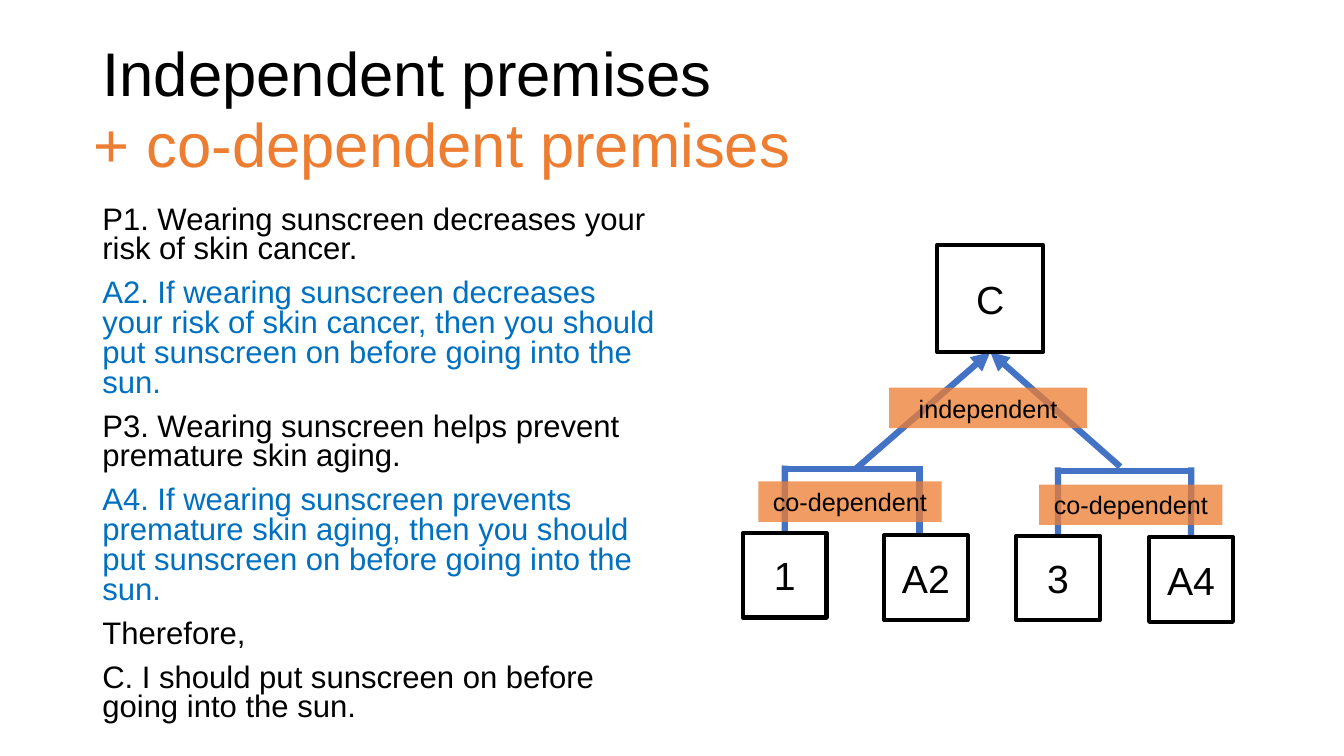
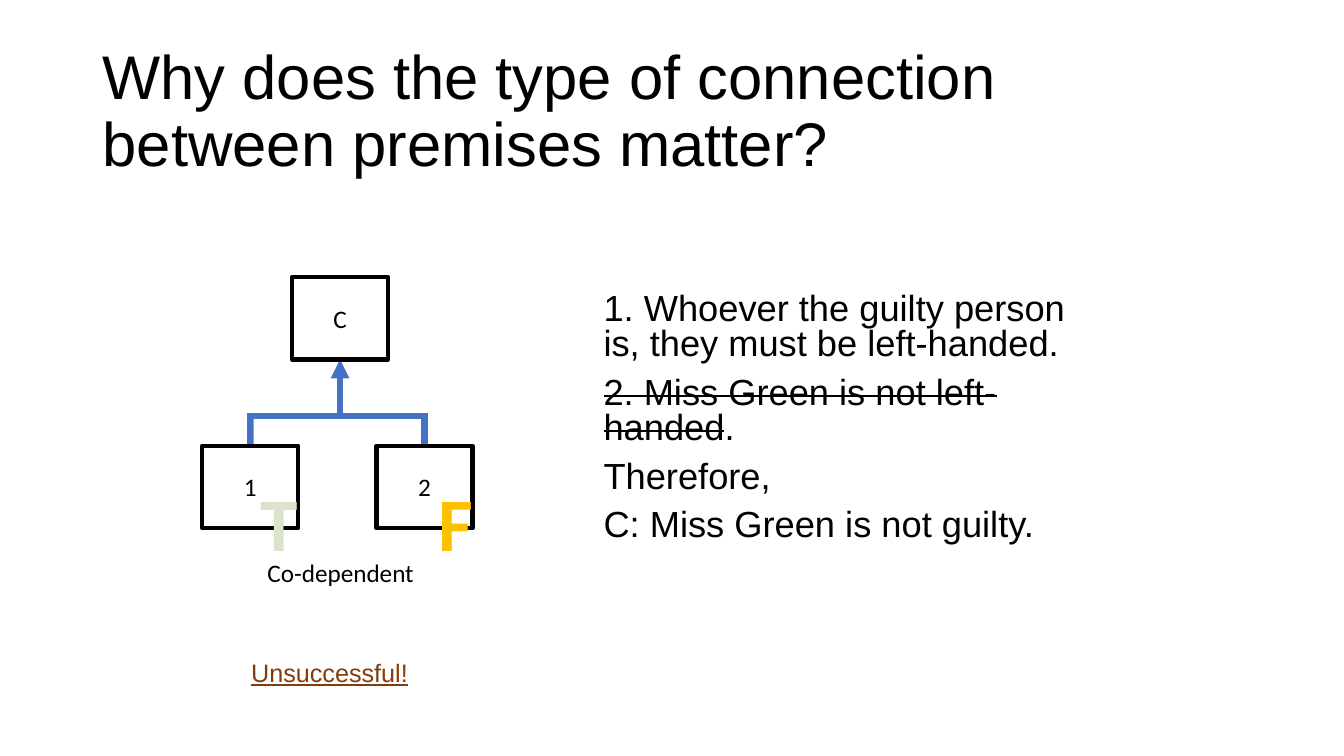
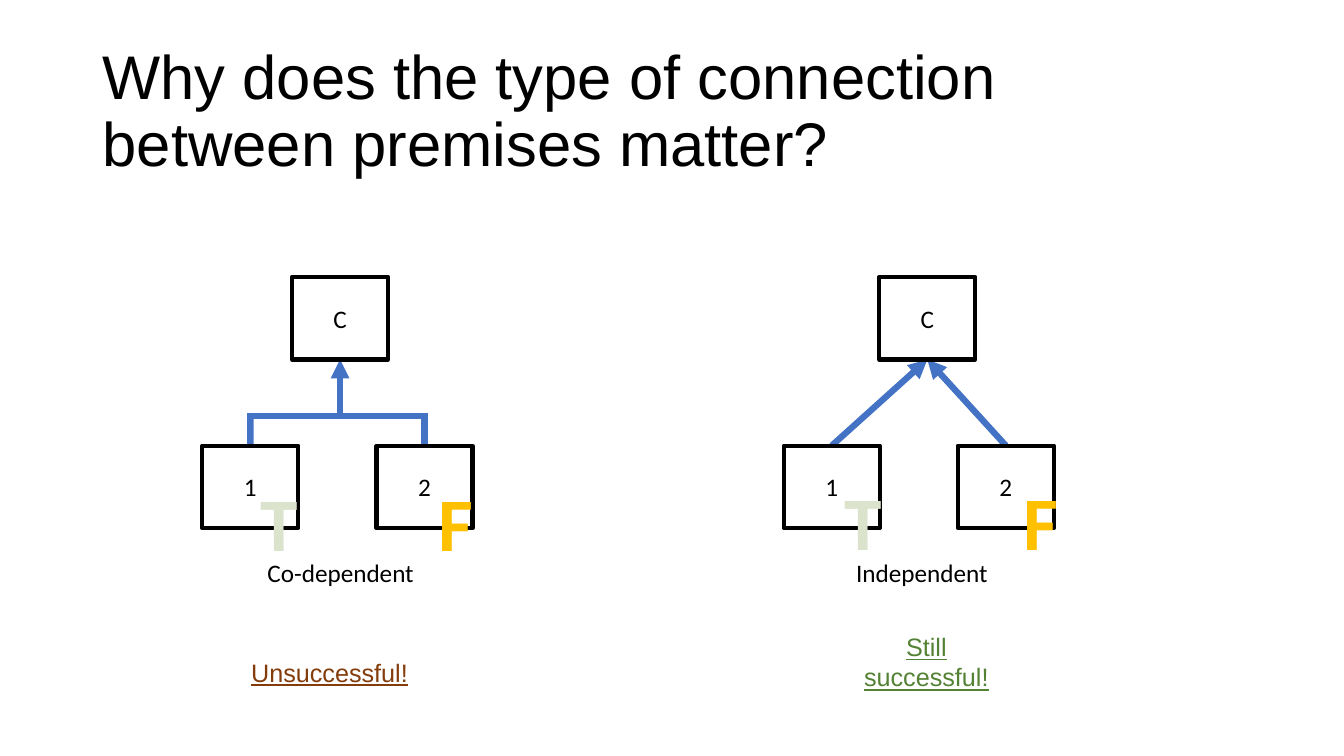
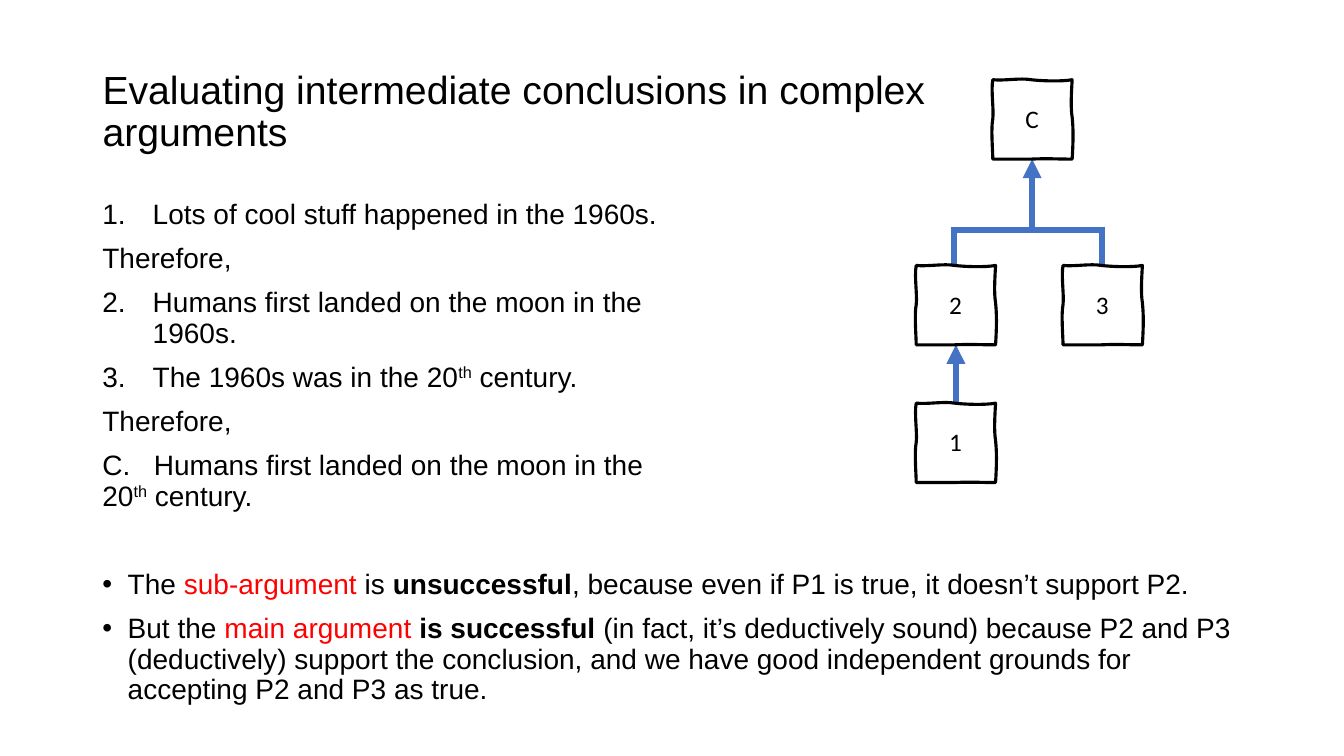
from lxml import etree
from pptx import Presentation
from pptx.dml.color import RGBColor
from pptx.enum.shapes import MSO_CONNECTOR, MSO_SHAPE
from pptx.enum.text import MSO_ANCHOR, MSO_AUTO_SIZE, PP_ALIGN
from pptx.oxml.ns import qn
from pptx.util import Cm, Pt

LEFT, CENTER = PP_ALIGN.LEFT, PP_ALIGN.CENTER
MIDDLE, TOP = MSO_ANCHOR.MIDDLE, MSO_ANCHOR.TOP
FIXED = MSO_AUTO_SIZE.NONE
STRAIGHT, ELBOW = MSO_CONNECTOR.STRAIGHT, MSO_CONNECTOR.ELBOW
RECT = MSO_SHAPE.RECTANGLE

BLACK, BLUE, SKY, ORANGE = "000000", "4472C4", "0070C0", "ED7D31"
RED, BROWN, GREEN = "FF0000", "843C0B", "548235"
SANS, PLAIN = "Arial", "Calibri"
MARGIN = 2.33
HALF = 0.08  # half the width of a diagram line
QUESTION = "Why does the type of connection between premises matter?"

# Hand-drawn square, 200 units wide: control, control, end of each curve
WAVES = [
    (30, 3), (69, -5), (97, 0), (122, 3), (173, 5), (200, 0),
    (198, 36), (196, 69), (200, 94), (203, 122), (203, 152), (200, 200),
    (155, 200), (142, 198), (97, 200), (53, 200), (28, 200), (0, 200),
    (0, 178), (-5, 124), (0, 99), (3, 74), (-5, 28), (0, 0),
]


def rgb(code):
    return RGBColor.from_string(code)


def cms(values):
    return [Cm(v) for v in values]


def child(parent, tag, **attrs):
    return etree.SubElement(parent, qn(tag), {k: str(v) for k, v in attrs.items()})


def style(font, size, color, name=SANS, bold=None, line=None):
    font.size, font.name, font.bold, font.underline = Pt(size), name, bold, line
    font.color.rgb = rgb(color)


def span(para, text, color=None, bold=None, **attrs):
    """Add a run; attrs are raw run attributes such as strike or baseline."""
    run = para.add_run()
    run.text = text
    if color:
        run.font.color.rgb = rgb(color)
    if bold:
        run.font.bold = True
    props = run._r.get_or_add_rPr()
    for key, value in attrs.items():
        props.set(key, value)


def mark(para, kind, indent, **attrs):
    """Give a paragraph a bullet or number with a hanging indent."""
    props = para._p.get_or_add_pPr()
    props.set("marL", str(Cm(indent)))
    props.set("indent", str(-Cm(indent)))
    if kind == "a:buChar":
        child(props, "a:buFont", typeface=SANS)
    child(props, kind, **attrs)


def tab(para, stop):
    tabs = child(para._p.get_or_add_pPr(), "a:tabLst")
    child(tabs, "a:tab", pos=Cm(stop), algn="l")


def text(slide, place, words, size, color=BLACK, align=LEFT, anchor=TOP,
         space=None, **look):
    frame = slide.shapes.add_textbox(*cms(place)).text_frame
    frame.word_wrap, frame.vertical_anchor = True, anchor
    para = frame.paragraphs[0]
    para.text, para.alignment, para.line_spacing = words, align, space
    style(para.font, size, color, **look)
    return para


def title(slide, words, size=44, width=29.21, under=0.13):
    """Fill the title; under is the inset at its foot."""
    shape = slide.shapes.title
    shape.left, shape.top, shape.width, shape.height = cms(
        (MARGIN, 1.01, width, 3.68))
    frame = shape.text_frame
    frame.auto_size, frame.vertical_anchor = FIXED, MIDDLE
    frame.margin_bottom = Cm(under)
    para = frame.paragraphs[0]
    para.text, para.alignment, para.line_spacing = words, LEFT, 0.9
    style(para.font, size, BLACK)


def body(slide, place, items, size, space):
    """Items are (spans, colour, marker); a span is (words, looks)."""
    frame = slide.shapes.add_textbox(*cms(place)).text_frame
    frame.word_wrap = True
    for i, (spans, color, marker) in enumerate(items):
        para = frame.add_paragraph() if i else frame.paragraphs[0]
        if marker:
            mark(para, **marker)
        elif "\t" in spans[0][0]:
            tab(para, 1.3)
        para.line_spacing, para.space_before = space, Pt(10)
        style(para.font, size, color)
        for words, looks in spans:
            span(para, words, **looks)


def item(*spans, color=BLACK, marker=None):
    pairs = [(s, {}) if isinstance(s, str) else s for s in spans]
    return pairs, color, marker


def label(shape, words, size, name):
    para = shape.text_frame.paragraphs[0]
    para.text, para.alignment = words, CENTER
    shape.text_frame.vertical_anchor = MIDDLE
    style(para.font, size, BLACK, name)


def edge(shape, width):
    shape.shadow.inherit = False
    shape.fill.background()
    shape.line.color.rgb = rgb(BLACK)
    shape.line.width = Pt(width)


def box(slide, place, words, size=18, name=PLAIN):
    shape = slide.shapes.add_shape(RECT, *cms(place))
    edge(shape, 3)
    label(shape, words, size, name)
    return shape


def tag(slide, place, words):
    """Add a see-through orange label."""
    shape = slide.shapes.add_shape(RECT, *cms(place))
    shape.shadow.inherit = False
    shape.fill.solid()
    shape.fill.fore_color.rgb = rgb(ORANGE)
    code = shape._element.spPr.find(qn("a:solidFill")).find(qn("a:srgbClr"))
    child(code, "a:alpha", val=76000)
    shape.line.fill.background()
    label(shape, words, 18, SANS)


def wavy(slide, x, y, words):
    pen = slide.shapes.build_freeform(0, 0, scale=Cm(0.01))
    pen.add_line_segments(WAVES, close=True)
    shape = pen.convert_to_shape(Cm(x), Cm(y))
    sides = list(shape._element.iter(qn("a:lnTo")))
    for i in range(0, len(sides), 3):
        curve = etree.Element(qn("a:cubicBezTo"))
        sides[i].addprevious(curve)
        for side in sides[i:i + 3]:
            curve.append(side[0])
            side.getparent().remove(side)
    edge(shape, 2.25)
    label(shape, words, 18, PLAIN)


def line(slide, start, end, arrow=False, source=None, target=None,
         kind=STRAIGHT):
    """Draw behind the boxes, from the top of source to target."""
    link = slide.shapes.add_connector(kind, *cms(start + end))
    link.line.color.rgb, link.line.width = rgb(BLUE), Pt(4.5)
    if arrow:
        child(link.line._get_or_add_ln(), "a:tailEnd", type="triangle")
    child(link._element.spPr, "a:effectLst")
    if kind == ELBOW:
        guides = next(link._element.iter(qn("a:avLst")))
        child(guides, "a:gd", name="adj1", fmla="val 100000")
    if source:
        link.begin_connect(source, 0)
    if target:
        link.end_connect(target, 2 if arrow else 0)
    link._element.getparent().insert(2, link._element)


def prongs(slide, y, feet):
    """Drop lines from height y to feet, each (x, bottom, box or None)."""
    for x, base, foot in feet:
        line(slide, (x, y - HALF), (x, base), target=foot)


def fork(slide, y, *feet):
    line(slide, (feet[0][0], y), (feet[-1][0], y))
    prongs(slide, y, feet)


def letter(slide, x, y, words, color, rim):
    para = text(slide, (x, y, 1.42, 2.57), words, 54, color, CENTER,
                name=PLAIN, bold=True)
    ln = child(para.runs[0]._r.get_or_add_rPr(), "a:ln", w=Pt(1.75))
    child(child(ln, "a:solidFill"), "a:srgbClr", val=rim)


def tree(slide, top, left, words, spot, forked):
    """Draw two premises, marked true and false from spot, and a conclusion."""
    wide, high, peak, low, step, bar = 2.42, 2.08, 6.98, 11.23, 4.39, 10.49
    goal = box(slide, (top, peak, wide, high), "C")
    pair = [box(slide, (left + i * step, low, wide, high), str(i + 1))
            for i in range(2)]
    mids = [left + wide / 2 + i * step for i in range(2)]
    tip = (top + wide / 2, peak + high)
    if forked:
        prongs(slide, bar, [(x, low, b) for x, b in zip(mids, pair)])
        line(slide, (tip[0], bar), (mids[1], bar))
        line(slide, (mids[0], bar), tip, True, kind=ELBOW)
    else:
        for x, premise in zip(mids, pair):
            line(slide, (x, low), tip, True, premise, goal)
    x, y = spot
    letter(slide, x, y, "T", "DCE3CC", "A8B97F")
    letter(slide, x + 4.47, y, "F", "FFC000", RED)
    text(slide, (left - 0.12, 13.92, 7.21, 1.02), words, 18, align=CENTER,
         name=PLAIN)


def failed(slide):
    tree(slide, 7.36, 5.1, "Co-dependent", (6.32, 11.88), True)
    text(slide, (5.51, 16.43, 5.59, 1.02), "Unsuccessful!", 18, BROWN, CENTER,
         line=True)


def sunscreen(slide):
    title(slide, "Independent premises", under=1.97)
    text(slide, (2.11, 2.41, 29.21, 2.62), "+ co-dependent premises", 44,
         ORANGE, anchor=MIDDLE, space=0.9)
    body(slide, (MARGIN, 5.07, 14.61, 13.28), [
        item("P1. Wearing sunscreen decreases your risk of skin cancer."),
        item("A2. If wearing sunscreen decreases your risk of skin cancer, "
             "then you should put sunscreen on before going into the sun.",
             color=SKY),
        item("P3. Wearing sunscreen helps prevent premature skin aging."),
        item("A4. If wearing sunscreen prevents premature skin aging, then "
             "you should put sunscreen on before going into the sun.",
             color=SKY),
        item("Therefore,"),
        item("C. I should put sunscreen on before going into the sun."),
    ], 22.2, 0.8)
    goal = box(slide, (23.62, 6.17, 2.67, 2.7), "C", 28, SANS)
    one, _, three, four = [
        box(slide, (x, y, 2.11, 2.13), words, 28, SANS)
        for x, y, words in [(18.72, 13.43, "1"), (22.28, 13.49, "A2"),
                            (25.61, 13.5, "3"), (28.96, 13.54, "A4")]]
    fork(slide, 11.81, (19.78, 13.43, one), (23.17, 13.49, None))
    fork(slide, 11.86, (26.66, 13.5, three), (30.02, 13.54, four))
    for start in [(21.57, 11.81), (28.23, 11.76)]:
        line(slide, start, (24.96, 8.87), True, target=goal)
    tag(slide, (19.11, 12.13, 4.62, 1.02), "co-dependent")
    tag(slide, (26.19, 12.21, 4.62, 1.02), "co-dependent")
    tag(slide, (22.41, 9.77, 4.98, 1.02), "independent")


def guilty(slide):
    title(slide, QUESTION)
    failed(slide)
    body(slide, (14.96, 7.28, 12.42, 6.78), [
        item("1. Whoever the guilty person is, they must be left-handed."),
        item(("2. Miss Green is not left-handed", {"strike": "sngStrike"}), "."),
        item("Therefore,"),
        item("C: Miss Green is not guilty."),
    ], 25.9, 0.8)


def compare(slide):
    title(slide, QUESTION)
    failed(slide)
    tree(slide, 22.16, 19.75, "Independent", (21.04, 11.84), False)
    text(slide, (21.34, 15.79, 4.01, 1.8), "Still successful!", 18, GREEN,
         CENTER, line=True)


def moon(slide):
    title(slide, "Evaluating intermediate conclusions in complex arguments",
          28, 21.95)
    first = {"kind": "a:buAutoNum", "indent": 1.27, "type": "arabicPeriod"}
    later = {**first, "startAt": 2}
    dot = {"kind": "a:buChar", "indent": 0.64, "char": "•"}
    th = ("th", {"baseline": "30000"})
    body(slide, (MARGIN, 4.92, 15.19, 12.19), [
        item("Lots of cool stuff happened in the 1960s.", marker=first),
        item("Therefore,"),
        item("Humans first landed on the moon in the 1960s.", marker=later),
        item("The 1960s was in the 20", th, " century.", marker=later),
        item("Therefore,"),
        item("C.\tHumans first landed on the moon in the 20", th, " century."),
    ], 20, 0.9)
    for x, y, words in [(25.02, 2.01, "C"), (26.79, 6.69, "3"),
                        (23.09, 6.69, "2"), (23.09, 10.16, "1")]:
        wavy(slide, x, y, words)
    fork(slide, 5.79, (24.05, 6.7, None), (27.78, 6.7, None))
    line(slide, (26.01, 5.82), (26.01, 4.01), True)
    line(slide, (24.09, 10.16), (24.09, 8.69), True)
    body(slide, (MARGIN, 14.25, 29.21, 4.8), [
        item("The ", ("sub-argument", {"color": RED}), " is ",
             ("unsuccessful", {"bold": True}),
             ", because even if P1 is true, it doesn’t support P2.",
             marker=dot),
        item("But the ", ("main argument ", {"color": RED}),
             ("is successful ", {"bold": True}),
             "(in fact, it’s deductively sound) because P2 and P3 "
             "(deductively) support the conclusion, and we have good "
             "independent grounds for accepting P2 and P3 as true.",
             marker=dot),
    ], 20, 0.9)


def main():
    prs = Presentation()
    prs.slide_width, prs.slide_height = Cm(33.87), Cm(19.05)
    layout = prs.slide_layouts.get_by_name("Title Only")
    for build in (sunscreen, guilty, compare, moon):
        build(prs.slides.add_slide(layout))
    prs.save("out.pptx")


if __name__ == "__main__":
    main()
